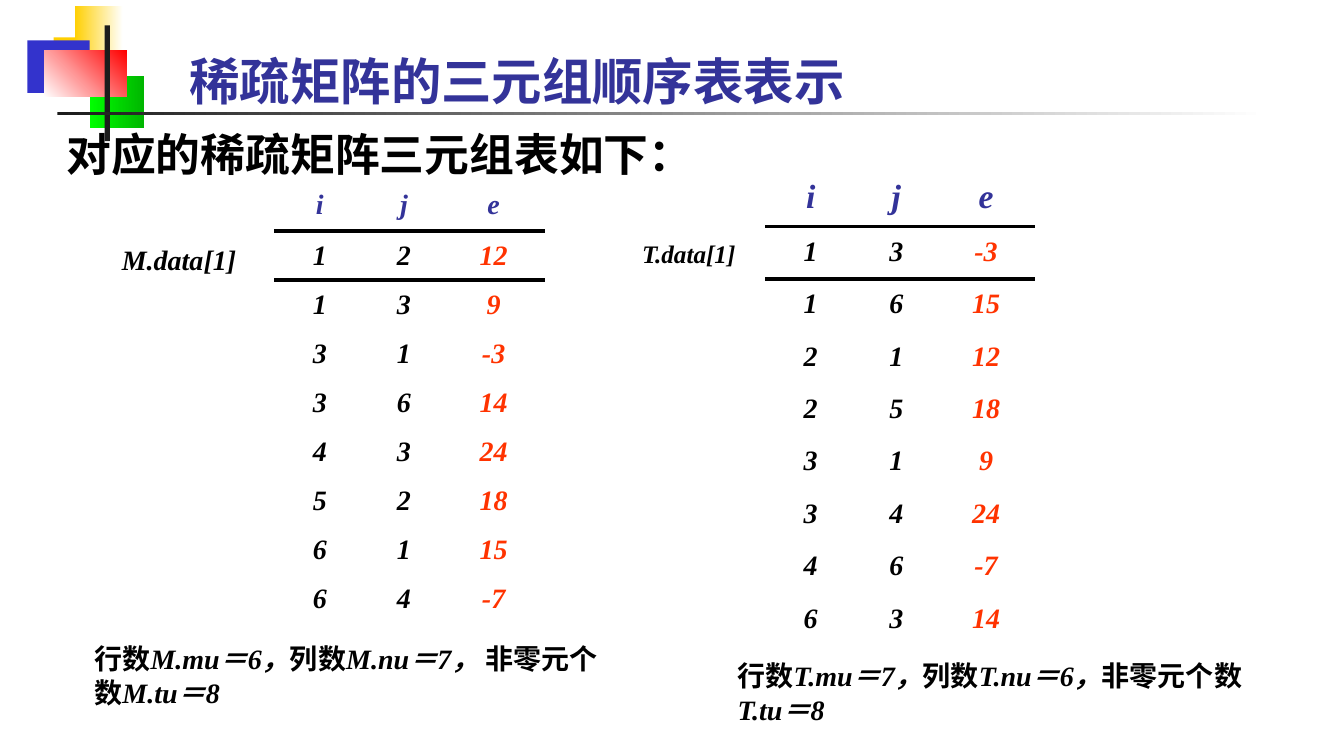
import pptx
import pptx.dml.color
import pptx.enum.shapes
import pptx.enum.text
import pptx.oxml
import pptx.oxml.ns
import pptx.util

Cm = pptx.util.Cm
Pt = pptx.util.Pt
RGBColor = pptx.dml.color.RGBColor

BLACK = RGBColor(0x00, 0x00, 0x00)
WHITE = RGBColor(0xFF, 0xFF, 0xFF)
CHARCOAL = RGBColor(0x1C, 0x1C, 0x1C)
NAVY = RGBColor(0x33, 0x33, 0x99)
BLUE = RGBColor(0x33, 0x33, 0xCC)
YELLOW = RGBColor(0xFF, 0xCF, 0x01)
LIME = RGBColor(0x00, 0xFF, 0x00)
GREEN = RGBColor(0x00, 0xB6, 0x00)
RED = RGBColor(0xFF, 0x00, 0x00)
ORANGE = RGBColor(0xFF, 0x33, 0x00)

SERIF = "Times New Roman"
NARROW = "Arial Narrow"
CHINESE = "Noto Sans CJK SC"

DECORATIONS = [
    (1.35, 0.94, 1.63, 1.32, [YELLOW], 0),
    (1.88, 0.15, 1.22, 1.32, [YELLOW, WHITE], 0),
    (0.69, 1.02, 1.57, 1.32, [BLUE], 0),
    (2.26, 1.91, 1.37, 1.32, [LIME, GREEN], 0),
    (1.12, 1.27, 2.08, 1.17, [WHITE, RED], 45),
    (2.64, 0.64, 0.13, 2.92, [CHARCOAL], 0),
    (1.45, 2.82, 30.48, 0.08, [CHARCOAL, WHITE], 0),
]
M_TRIPLES = [(1, 2, 12), (1, 3, 9), (3, 1, -3), (3, 6, 14),
             (4, 3, 24), (5, 2, 18), (6, 1, 15), (6, 4, -7)]
T_TRIPLES = [(1, 3, -3), (1, 6, 15), (2, 1, 12), (2, 5, 18),
             (3, 1, 9), (3, 4, 24), (4, 6, -7), (6, 3, 14)]


class SlideBuilder:
    """Holds the text style and the current slide, and adds its elements."""

    def __init__(self, slide, size=20, font=SERIF):
        """Store the slide and the default text style."""
        self.slide = slide
        self.size = size
        self.font = font

    def run(self, paragraph, text, size=None, color=BLACK, italic=False, font=None):
        """Add one bold run with Latin and Chinese typefaces."""
        run = paragraph.add_run()
        run.text = text
        run.font.size = Pt(size or self.size)
        run.font.name = font or self.font
        run.font.bold = True
        run.font.italic = italic
        run.font.color.rgb = color
        east_asian = pptx.oxml.parse_xml(
            f'<a:ea {pptx.oxml.ns.nsdecls("a")} typeface="{CHINESE}"/>')
        run.font._element.find(pptx.oxml.ns.qn("a:latin")).addnext(east_asian)

    def title(self, text, left, top, width, height):
        """Place and fill the title placeholder."""
        title = self.slide.shapes.title
        title.left, title.top = Cm(left), Cm(top)
        title.width, title.height = Cm(width), Cm(height)
        frame = title.text_frame
        frame.auto_size = pptx.enum.text.MSO_AUTO_SIZE.NONE
        frame.vertical_anchor = pptx.enum.text.MSO_ANCHOR.BOTTOM
        paragraph = frame.paragraphs[0]
        paragraph.alignment = pptx.enum.text.PP_ALIGN.LEFT
        self.run(paragraph, text, 36, NAVY, font=NARROW)

    def block(self, left, top, width, height, colors, angle):
        """Add a borderless rectangle with a solid or gradient fill."""
        shape = self.slide.shapes.add_shape(
            pptx.enum.shapes.MSO_SHAPE.RECTANGLE,
            Cm(left), Cm(top), Cm(width), Cm(height))
        shape.shadow.inherit = False
        shape.line.fill.background()
        if len(colors) == 1:
            shape.fill.solid()
            shape.fill.fore_color.rgb = colors[0]
            return
        shape.fill.gradient()
        shape.fill.gradient_angle = angle
        for stop, color in zip(shape.fill.gradient_stops, colors):
            stop.color.rgb = color

    def text(self, left, top, width, height, pieces, spacing=None, **style):
        """Add a wrapped text box from (text, italic) pieces."""
        shape = self.slide.shapes.add_textbox(Cm(left), Cm(top), Cm(width), Cm(height))
        shape.text_frame.word_wrap = True
        paragraph = shape.text_frame.paragraphs[0]
        paragraph.line_spacing = spacing
        for text, italic in pieces:
            self.run(paragraph, text, italic=italic, **style)

    def summary(self, left, top, width, name, rows, columns):
        """Add the line that states the dimensions of a matrix."""
        pieces = [("行数", False), (f"{name}.mu＝{rows}，", True),
                  ("列数", False), (f"{name}.nu＝{columns}", True),
                  ("， " if name == "M" else "，", True),
                  ("非零元个数", False), (f"{name}.tu＝8", True)]
        self.text(left, top, width, 1.96, pieces, Pt(24))

    def rule(self, cell, side):
        """Draw a black rule on one side of a cell."""
        line = pptx.oxml.parse_xml(
            f'<a:{side} {pptx.oxml.ns.nsdecls("a")} w="38100"><a:solidFill>'
            f'<a:srgbClr val="{BLACK}"/></a:solidFill></a:{side}>')
        cell._tc.get_or_add_tcPr().insert(0, line)

    def triples(self, left, top, widths, header_height, row_height, header_size, triples):
        """Add a table of triples under an i, j, e header."""
        rows = [("i", "j", "e"), *triples]
        table = self.slide.shapes.add_table(
            len(rows), len(widths), Cm(left), Cm(top), Cm(sum(widths)),
            Cm(header_height + row_height * len(triples))).table
        table.first_row = table.horz_banding = False
        for column, width in zip(table.columns, widths):
            column.width = Cm(width)
        for row_index, values in enumerate(rows):
            is_header = row_index == 0
            table.rows[row_index].height = Cm(header_height if is_header else row_height)
            for column_index, value in enumerate(values):
                cell = table.cell(row_index, column_index)
                cell.fill.background()
                cell.margin_left = cell.margin_right = Cm(0.33)
                cell.margin_top = cell.margin_bottom = Cm(0.13)
                if row_index < 2:
                    self.rule(cell, "lnB" if is_header else "lnT")
                paragraph = cell.text_frame.paragraphs[0]
                paragraph.alignment = pptx.enum.text.PP_ALIGN.CENTER
                paragraph.line_spacing = 1.15
                color = NAVY if is_header else ORANGE if column_index == 2 else BLACK
                size = header_size if is_header else self.size
                self.run(paragraph, str(value), size, color, italic=True)


def main():
    """Build and save the sparse matrix slide."""
    presentation = pptx.Presentation()
    presentation.slide_width = Cm(33.87)
    presentation.slide_height = Cm(19.05)
    builder = SlideBuilder(presentation.slides.add_slide(presentation.slide_layouts[5]))

    for decoration in DECORATIONS:
        builder.block(*decoration)
    builder.title("稀疏矩阵的三元组顺序表表示", 4.52, 0.8, 28.85, 2.11)
    builder.text(1.42, 3.07, 31.6, 1.9, [("对应的稀疏矩阵三元组表如下：", False)],
                 size=32, font=CHINESE)

    builder.triples(6.93, 4.52, (2.26, 1.98, 2.54), 1.3, 1.17, 20, M_TRIPLES)
    builder.text(2.82, 5.99, 5.08, 1.09, [("M.data[1]", True)])
    builder.summary(2.13, 16.05, 13.79, "M", 6, 7)

    builder.triples(19.3, 4.24, (2.26, 2.06, 2.46), 1.47, 1.32, 24, T_TRIPLES)
    builder.text(15.93, 5.87, 5.08, 1.02, [("T.data[1]", True)], size=18)
    builder.summary(18.34, 16.48, 14.33, "T", 7, 6)

    presentation.save("out.pptx")


if __name__ == "__main__":
    main()
